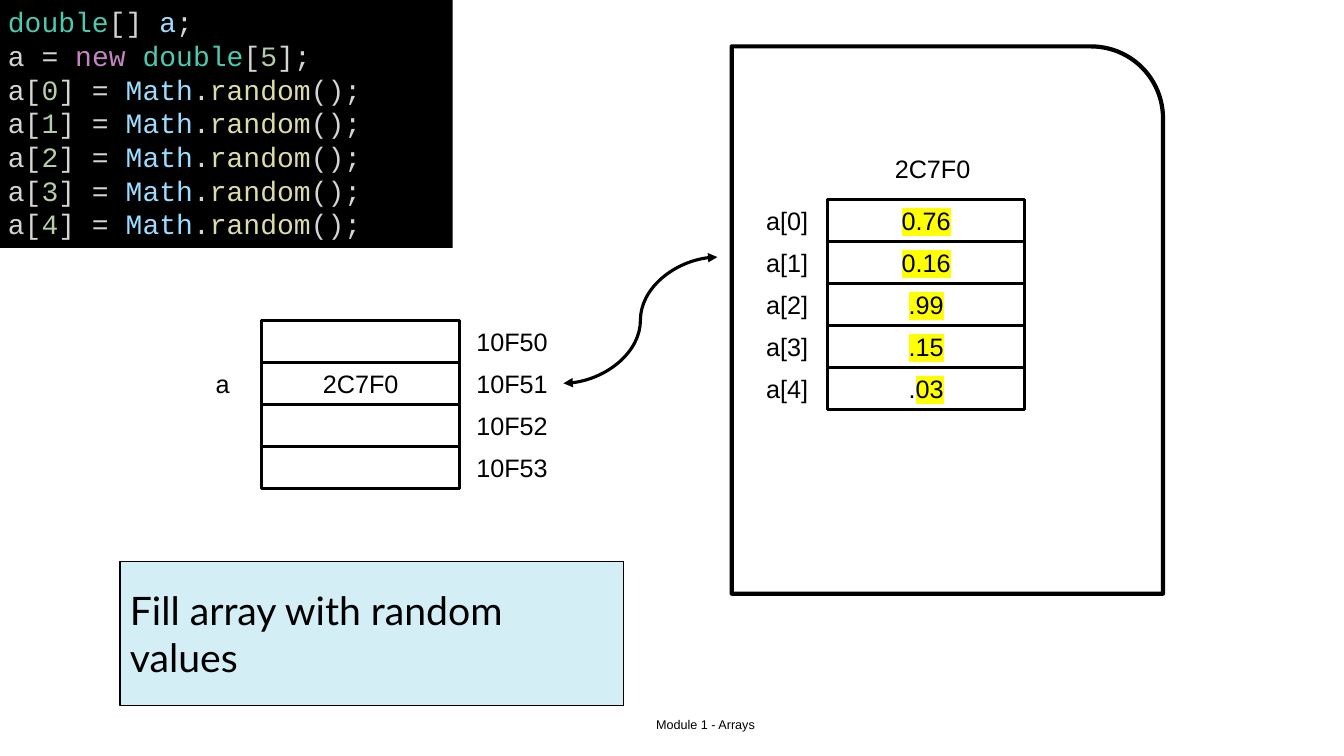
import pptx
import pptx.dml.color
import pptx.enum.shapes
import pptx.enum.text
import pptx.oxml
import pptx.oxml.ns
import pptx.util

Cm = pptx.util.Cm
Pt = pptx.util.Pt
SHAPE = pptx.enum.shapes.MSO_SHAPE
ALIGN = pptx.enum.text.PP_ALIGN
ANCHOR = pptx.enum.text.MSO_ANCHOR
DRAWING = pptx.oxml.ns.nsdecls("a")

BLACK = "000000"
YELLOW = "FFFF00"
TYPE, PLAIN, VARIABLE = "4EC9B0", "D4D4D4", "9CDCFE"
KEYWORD, NUMBER, METHOD = "C586C0", "B5CEA8", "DCDCAA"

ROW = 1.06
CELL_WIDTH = 4.98
LABEL_WIDTH = 2.59


def rgb(hex_color):
    return pptx.dml.color.RGBColor.from_string(hex_color)


class MemoryDiagram:
    def __init__(self, slide, font="Arial", size=18):
        self.slide = slide
        self.font = font
        self.size = size

    def add_text(self, paragraph, text, color=BLACK, highlight=None, font=None, size=None):
        run = paragraph.add_run()
        run.text = text
        run.font.name = font or self.font
        run.font.size = Pt(size or self.size)
        run.font.color.rgb = rgb(color)
        if highlight:
            marker = pptx.oxml.parse_xml(
                f'<a:highlight {DRAWING}><a:srgbClr val="{highlight}"/></a:highlight>')
            fill = run.font._element.find(pptx.oxml.ns.qn("a:solidFill"))
            fill.addnext(marker)

    def set_frame(self, shape, align=ALIGN.CENTER, anchor=ANCHOR.MIDDLE, wrap=False):
        """Lay out the text area of a shape and return its first paragraph."""
        frame = shape.text_frame
        frame.auto_size = pptx.enum.text.MSO_AUTO_SIZE.NONE
        frame.word_wrap = wrap
        frame.vertical_anchor = anchor
        frame.paragraphs[0].alignment = align
        return frame.paragraphs[0]

    def paint(self, shape, fill=None, line_width=None):
        if fill:
            shape.fill.solid()
            shape.fill.fore_color.rgb = rgb(fill)
        else:
            shape.fill.background()
        if line_width:
            shape.line.color.rgb = rgb(BLACK)
            shape.line.width = Pt(line_width)
        else:
            shape.line.fill.background()

    def box(self, left, top, width, height, kind=SHAPE.RECTANGLE, fill=None, line_width=None):
        shape = self.slide.shapes.add_shape(kind, Cm(left), Cm(top), Cm(width), Cm(height))
        shape.shadow.inherit = False
        self.paint(shape, fill, line_width)
        return shape

    def label(self, text, left, top, width=LABEL_WIDTH, height=ROW, align=ALIGN.CENTER, size=None):
        box = self.slide.shapes.add_textbox(Cm(left), Cm(top), Cm(width), Cm(height))
        self.add_text(self.set_frame(box, align), text, size=size)
        return box

    def cells(self, left, top, rows):
        """Stack memory cells; each row is a list of (text, highlight) runs."""
        for index, runs in enumerate(rows):
            cell = self.box(left, top + index * ROW, CELL_WIDTH, ROW, line_width=2.25)
            paragraph = self.set_frame(cell)
            for text, highlight in runs:
                self.add_text(paragraph, text, highlight=highlight)

    def labels(self, left, top, texts):
        return [self.label(text, left, top + index * ROW) for index, text in enumerate(texts)]

    def code(self, left, top, width, height, lines):
        panel = self.box(left, top, width, height, fill=BLACK)
        paragraph = self.set_frame(panel, ALIGN.LEFT, ANCHOR.TOP, wrap=True)
        for index, tokens in enumerate(lines):
            if index:
                paragraph = panel.text_frame.add_paragraph()
                paragraph.alignment = ALIGN.LEFT
            for text, color in tokens:
                self.add_text(paragraph, text, color, font="Courier New", size=20)

    def curved_arrow(self, source, end_left, end_top):
        """Draw a double-headed curve from the right side of source."""
        arrow = self.slide.shapes.add_connector(
            pptx.enum.shapes.MSO_CONNECTOR.CURVE,
            source.left + source.width, source.top + source.height // 2,
            Cm(end_left), Cm(end_top))
        arrow.begin_connect(source, 3)
        arrow.line.color.rgb = rgb(BLACK)
        arrow.line.width = Pt(2.25)
        line = arrow.line._get_or_add_ln()
        for end in ("headEnd", "tailEnd"):
            line.append(pptx.oxml.parse_xml(f'<a:{end} {DRAWING} type="triangle"/>'))
        line.addnext(pptx.oxml.parse_xml(f"<a:effectLst {DRAWING}/>"))

    def title(self, text, left, top, width, height):
        caption = self.slide.shapes.title
        caption.left, caption.top = Cm(left), Cm(top)
        caption.width, caption.height = Cm(width), Cm(height)
        self.paint(caption, fill="D3EEF5", line_width=1)
        self.add_text(self.set_frame(caption, ALIGN.LEFT), text, font="Lato", size=28)


def main():
    deck = pptx.Presentation()
    deck.slide_width, deck.slide_height = Cm(33.87), Cm(19.05)
    diagram = MemoryDiagram(deck.slides.add_slide(deck.slide_layouts[5]))

    diagram.label("Module 1 - Arrays", 2.54, 17.94, 30.48, 0.64, size=9)
    diagram.box(18.44, 1.17, 10.87, 13.79, SHAPE.ROUND_1_RECTANGLE, line_width=3)

    declaration = [("double", TYPE), ("[] ", PLAIN), ("a", VARIABLE), (";", PLAIN)]
    allocation = [("a = ", PLAIN), ("new ", KEYWORD), ("double", TYPE),
                  ("[", PLAIN), ("5", NUMBER), ("];", PLAIN)]
    assignments = [[("a[", PLAIN), (str(index), NUMBER), ("] = ", PLAIN), ("Math", VARIABLE),
                    (".", PLAIN), ("random", METHOD), ("();", PLAIN)] for index in range(5)]
    diagram.code(-0.05, 0, 11.46, 6.25, [declaration, allocation, *assignments])

    stack_top = 8.07
    diagram.cells(6.6, stack_top, [[], [("2C7F0", None)], [], []])
    addresses = diagram.labels(11.61, stack_top, ["10F50", "10F51", "10F52", "10F53"])
    diagram.label("a", 4.57, stack_top + ROW, 2.08)
    diagram.curved_arrow(addresses[1], 18.08, 6.48)

    heap_top = 5.03
    values = [[(value, YELLOW)] for value in ("0.76", "0.16", ".99", ".15")]
    diagram.cells(20.85, heap_top, values + [[(".", None), ("03", YELLOW)]])
    diagram.label("2C7F0", 22.3, 3.71, align=ALIGN.LEFT)
    diagram.labels(18.54, heap_top, [f"a[{index}]" for index in range(5)])

    diagram.title("Fill array with random values", 3.02, 14.15, 12.7, 3.63)
    deck.save("out.pptx")


if __name__ == "__main__":
    main()
